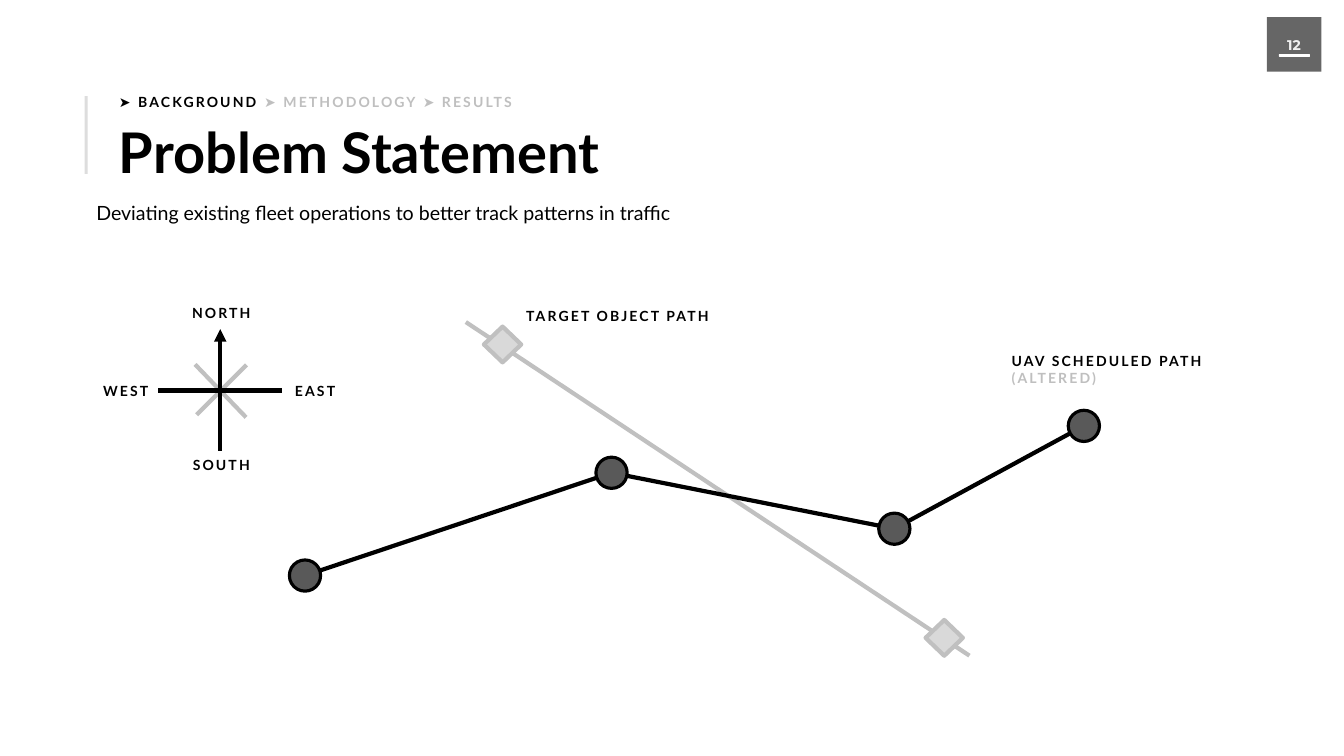
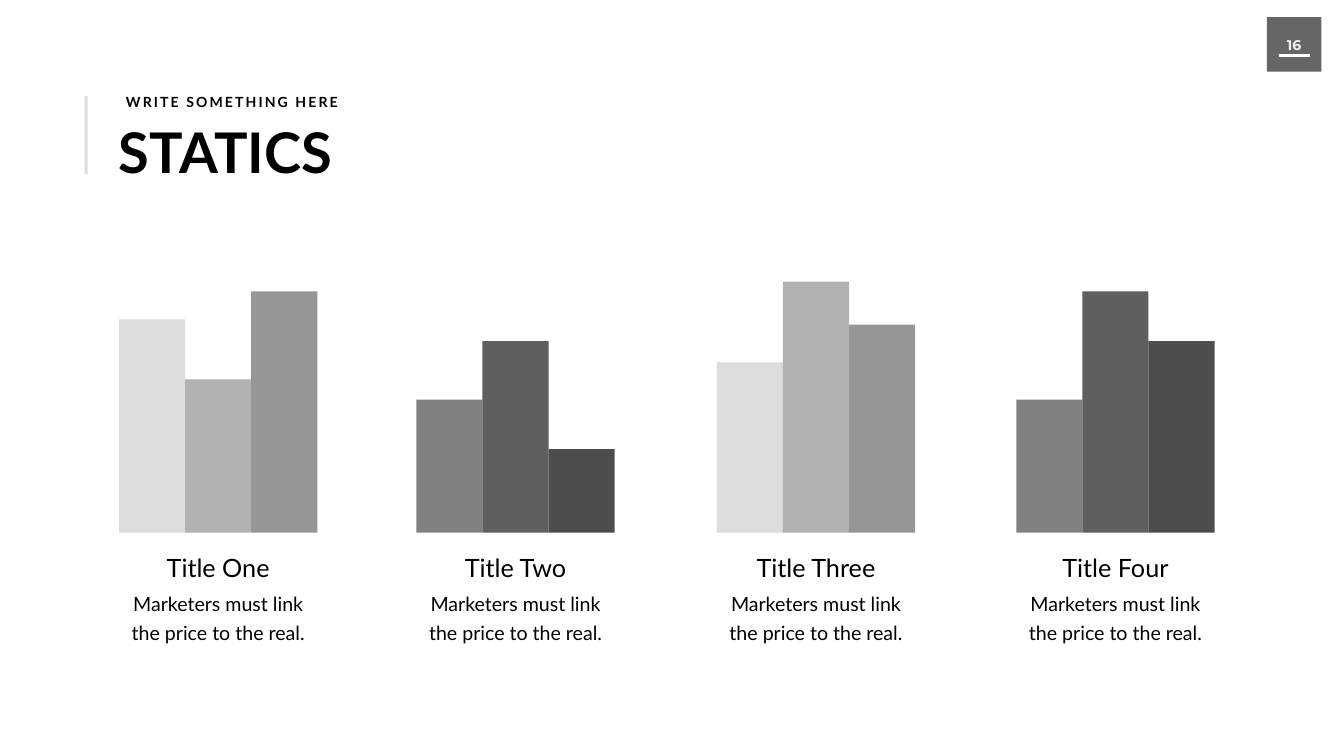
"""Build two grey-scale slides: a path diagram and a row of bar groups."""
from dataclasses import dataclass
from itertools import pairwise
from typing import Optional

from lxml.etree import SubElement
from pptx import Presentation
from pptx.dml.color import RGBColor
from pptx.enum.shapes import MSO_CONNECTOR, MSO_SHAPE
from pptx.enum.text import MSO_ANCHOR, MSO_AUTO_SIZE, PP_ALIGN
from pptx.oxml.ns import qn
from pptx.shapes.autoshape import Shape
from pptx.slide import Slide
from pptx.util import Pt

BLACK = RGBColor(0x00, 0x00, 0x00)
WHITE = RGBColor(0xFF, 0xFF, 0xFF)
NUMBER_COLOR = RGBColor(0xF2, 0xF2, 0xF2)
ACCENT = RGBColor(0xDD, 0xDD, 0xDD)
MUTED = RGBColor(0xBF, 0xBF, 0xBF)
PATH_GREY = RGBColor(0xC0, 0xC0, 0xC0)
DIAMOND_FILL = RGBColor(0xD9, 0xD9, 0xD9)
WAYPOINT_FILL = RGBColor(0x59, 0x59, 0x59)
LIGHT_BARS = (ACCENT, RGBColor(0xB2, 0xB2, 0xB2), RGBColor(0x96, 0x96, 0x96))
DARK_BARS = (RGBColor(0x80, 0x80, 0x80), RGBColor(0x5F, 0x5F, 0x5F), RGBColor(0x4D, 0x4D, 0x4D))

TITLE_ONLY = 5
LINE_WIDTH = 6
CAPTION_HEIGHT = 31.7
BAR_WIDTH = 94.4
BAR_BASE = 761

Point = tuple[float, float]
Run = tuple[str, RGBColor]


@dataclass(frozen=True)
class Box:
    """Position and size in points."""
    left: float
    top: float
    width: float
    height: float

    def lengths(self) -> tuple[Pt, Pt, Pt, Pt]:
        """Return the four lengths for a python-pptx call."""
        return Pt(self.left), Pt(self.top), Pt(self.width), Pt(self.height)


@dataclass(frozen=True)
class TextStyle:
    """Look of a text block, lengths in points."""
    size: float
    bold: bool = False
    font: str = "Lato"
    tracking: float = 0
    line_spacing: Optional[float] = None
    space_before: float = 0
    side_inset: float = 7.2
    top_inset: float = 3.6


@dataclass(frozen=True)
class Label:
    """Caption placed by its box corner and width."""
    text: str
    left: float
    top: float
    width: float


@dataclass(frozen=True)
class BarGroup:
    """Three bars above a heading."""
    heading: str
    left: float
    heights: tuple[float, float, float]
    colors: tuple[RGBColor, RGBColor, RGBColor]


TITLE = TextStyle(80, bold=True)
CAPTION = TextStyle(20, bold=True, tracking=3)
PAGE_NUMBER = TextStyle(20, bold=True, font="Montserrat", side_inset=14.4, top_inset=7.2)
SUBTITLE = TextStyle(28, line_spacing=43, space_before=5.6, side_inset=17.3, top_inset=8.6)
HEADING = TextStyle(36, space_before=7.2)
BODY = TextStyle(28, line_spacing=40.8)

COMPASS_LABELS = (
    Label("NORTH", 262.1, 431.3, 108),
    Label("EAST", 410.4, 542.2, 79.2),
    Label("WEST", 137.5, 542.2, 84.2),
    Label("SOUTH", 262.1, 648.7, 108),
)
WAYPOINTS = ((435.6, 822.2), (873.4, 675.4), (1277.3, 755.3), (1548, 608.4))
WAYPOINT_SIZE = 44.6
TARGETS = ((717.8, 492.1), (1348.6, 911.2))

BAR_GROUPS = (
    BarGroup("Title One", 170, (304.6, 218.9, 344.9), LIGHT_BARS),
    BarGroup("Title Two", 594.7, (190.1, 273.6, 119.5), DARK_BARS),
    BarGroup("Title Three", 1023.8, (243.4, 358.6, 297.4), LIGHT_BARS),
    BarGroup("Title Four", 1451.5, (190.1, 344.9, 273.6), DARK_BARS),
)
BODY_TEXT = "Marketers must link the price to the real."


def fill_text(shape: Shape, style: TextStyle, paragraphs: tuple[tuple[Run, ...], ...],
              alignment: PP_ALIGN = PP_ALIGN.LEFT, wrap: bool = True) -> None:
    """Write coloured runs into a shape and format them."""
    frame = shape.text_frame
    frame.word_wrap = wrap
    frame.auto_size = MSO_AUTO_SIZE.SHAPE_TO_FIT_TEXT
    frame.vertical_anchor = MSO_ANCHOR.TOP
    frame.margin_left = frame.margin_right = Pt(style.side_inset)
    frame.margin_top = frame.margin_bottom = Pt(style.top_inset)
    frame.text = "\n".join("" for _ in paragraphs)
    for paragraph, runs in zip(frame.paragraphs, paragraphs):
        paragraph.alignment = alignment
        paragraph.space_before = Pt(style.space_before)
        if style.line_spacing:
            paragraph.line_spacing = Pt(style.line_spacing)
        for text, color in runs:
            run = paragraph.add_run()
            run.text = text
            run.font.name = style.font
            run.font.size = Pt(style.size)
            run.font.bold = style.bold
            run.font.color.rgb = color
            if style.tracking:
                run.font._element.set("spc", str(int(style.tracking * 100)))


def add_text(slide: Slide, box: Box, style: TextStyle, *paragraphs: tuple[Run, ...],
             alignment: PP_ALIGN = PP_ALIGN.LEFT, wrap: bool = True) -> None:
    """Add a text box."""
    fill_text(slide.shapes.add_textbox(*box.lengths()), style, paragraphs, alignment, wrap)


def add_block(slide: Slide, kind: MSO_SHAPE, box: Box, color: RGBColor,
              outline: Optional[RGBColor] = None, outline_width: float = 0) -> Shape:
    """Add a filled preset shape, outlined only when asked."""
    shape = slide.shapes.add_shape(kind, *box.lengths())
    shape.shadow.inherit = False
    shape.fill.solid()
    shape.fill.fore_color.rgb = color
    if outline is None:
        shape.line.fill.background()
    else:
        shape.line.color.rgb = outline
        shape.line.width = Pt(outline_width)
    return shape


def add_marker(slide: Slide, kind: MSO_SHAPE, center: Point, width: float, height: float,
               color: RGBColor, outline: RGBColor, outline_width: float) -> None:
    """Add an outlined shape around a centre point."""
    box = Box(center[0] - width / 2, center[1] - height / 2, width, height)
    add_block(slide, kind, box, color, outline, outline_width)


def add_line(slide: Slide, start: Point, end: Point, color: RGBColor, arrow: bool = False) -> None:
    """Add a straight line, with an arrowhead at its end if asked."""
    connector = slide.shapes.add_connector(
        MSO_CONNECTOR.STRAIGHT, *(Pt(value) for value in (*start, *end)))
    connector.line.color.rgb = color
    connector.line.width = Pt(LINE_WIDTH)
    if arrow:
        SubElement(connector.line._get_or_add_ln(), qn("a:tailEnd"), type="triangle")
    SubElement(connector._element.spPr, qn("a:effectLst"))


def add_base_slide(presentation: Presentation, title: str, title_width: float, number: int) -> Slide:
    """Add a slide with the title, accent bar and page badge."""
    slide = presentation.slides.add_slide(presentation.slide_layouts[TITLE_ONLY])
    placeholder = slide.shapes.title
    box = Box(162.7, 164.9, title_width, 104.4)
    placeholder.left, placeholder.top, placeholder.width, placeholder.height = box.lengths()
    fill_text(placeholder, TITLE, (((title, BLACK),),), wrap=False)
    add_block(slide, MSO_SHAPE.RECTANGLE, Box(121, 137.5, 4.3, 110.9), ACCENT)

    badge = add_block(slide, MSO_SHAPE.RECTANGLE, Box(1809.4, 24.5, 77.8, 77.8), BLACK)
    badge_color = badge._element.spPr.find(qn("a:solidFill"))[0]
    SubElement(badge_color, qn("a:alpha"), val="60000")
    add_text(slide, Box(1817.3, 44.6, 61.9, 38.9), PAGE_NUMBER, ((str(number), NUMBER_COLOR),),
             alignment=PP_ALIGN.CENTER, wrap=False)
    add_block(slide, MSO_SHAPE.RECTANGLE, Box(1826.6, 77.8, 43.2, 2.9), WHITE, WHITE, 1)
    return slide


def draw_compass(slide: Slide) -> None:
    """Draw the compass cross and its four labels."""
    add_line(slide, (278.6, 520.6), (351.4, 596.2), PATH_GREY)
    add_line(slide, (352.1, 521.3), (280.8, 592.6), PATH_GREY)
    add_line(slide, (314.6, 643.7), (314.6, 470.2), BLACK, arrow=True)
    add_line(slide, (226.1, 558), (402.5, 558), BLACK)
    for label in COMPASS_LABELS:
        add_text(slide, Box(label.left, label.top, label.width, CAPTION_HEIGHT), CAPTION,
                 ((label.text, BLACK),), alignment=PP_ALIGN.CENTER)


def draw_paths(slide: Slide) -> None:
    """Draw the target path and the scheduled path with their markers."""
    add_line(slide, (665.3, 460.1), (1384.6, 936.7), PATH_GREY)
    for center in TARGETS:
        add_marker(slide, MSO_SHAPE.DIAMOND, center, 53.3, 51.1, DIAMOND_FILL, PATH_GREY, LINE_WIDTH)
    for start, end in pairwise(WAYPOINTS):
        add_line(slide, start, end, BLACK)
    for center in WAYPOINTS:
        add_marker(slide, MSO_SHAPE.OVAL, center, WAYPOINT_SIZE, WAYPOINT_SIZE,
                   WAYPOINT_FILL, BLACK, 4.5)
    add_text(slide, Box(744.5, 436.3, 280.8, CAPTION_HEIGHT), CAPTION,
             (("TARGET OBJECT PATH", BLACK),))
    add_text(slide, Box(1437.8, 499.7, 292.3, 55.4), CAPTION,
             (("UAV SCHEDULED PATH", BLACK),), (("(ALTERED)", MUTED),))


def draw_bar_group(slide: Slide, group: BarGroup) -> None:
    """Draw three adjoining bars with centred text below."""
    for index, (height, color) in enumerate(zip(group.heights, group.colors)):
        box = Box(group.left + index * BAR_WIDTH, BAR_BASE - height, BAR_WIDTH, height)
        add_block(slide, MSO_SHAPE.RECTANGLE, box, color)
    center = group.left + 1.5 * BAR_WIDTH
    add_text(slide, Box(center - 144, 784.8, 288, 51.1), HEADING,
             ((group.heading, BLACK),), alignment=PP_ALIGN.CENTER)
    add_text(slide, Box(center - 130.7, 835.2, 261.4, 85.7), BODY,
             ((BODY_TEXT, BLACK),), alignment=PP_ALIGN.CENTER)


def build_problem_slide(presentation: Presentation) -> None:
    """Build the problem statement slide."""
    slide = add_base_slide(presentation, "Problem Statement", 749.5, 12)
    add_text(slide, Box(162.7, 130.3, 807.8, CAPTION_HEIGHT), CAPTION,
             (("➤ BACKGROUND ", BLACK), ("➤ METHODOLOGY ➤ RESULTS", MUTED)))
    add_text(slide, Box(120.2, 268.6, 964.1, 56.2), SUBTITLE,
             (("Deviating existing fleet operations to better track patterns in traffic", BLACK),))
    draw_paths(slide)
    draw_compass(slide)


def build_statics_slide(presentation: Presentation) -> None:
    """Build the slide of bar groups."""
    slide = add_base_slide(presentation, "STATICS", 333.4, 16)
    add_text(slide, Box(169.9, 130.3, 322.6, CAPTION_HEIGHT), CAPTION,
             (("WRITE SOMETHING HERE", BLACK),), alignment=PP_ALIGN.CENTER, wrap=False)
    for group in BAR_GROUPS:
        draw_bar_group(slide, group)


def main() -> None:
    """Build and save the presentation."""
    presentation = Presentation()
    presentation.slide_width = Pt(1919.5)
    presentation.slide_height = Pt(1080)
    build_problem_slide(presentation)
    build_statics_slide(presentation)
    presentation.save("out.pptx")


if __name__ == "__main__":
    main()
